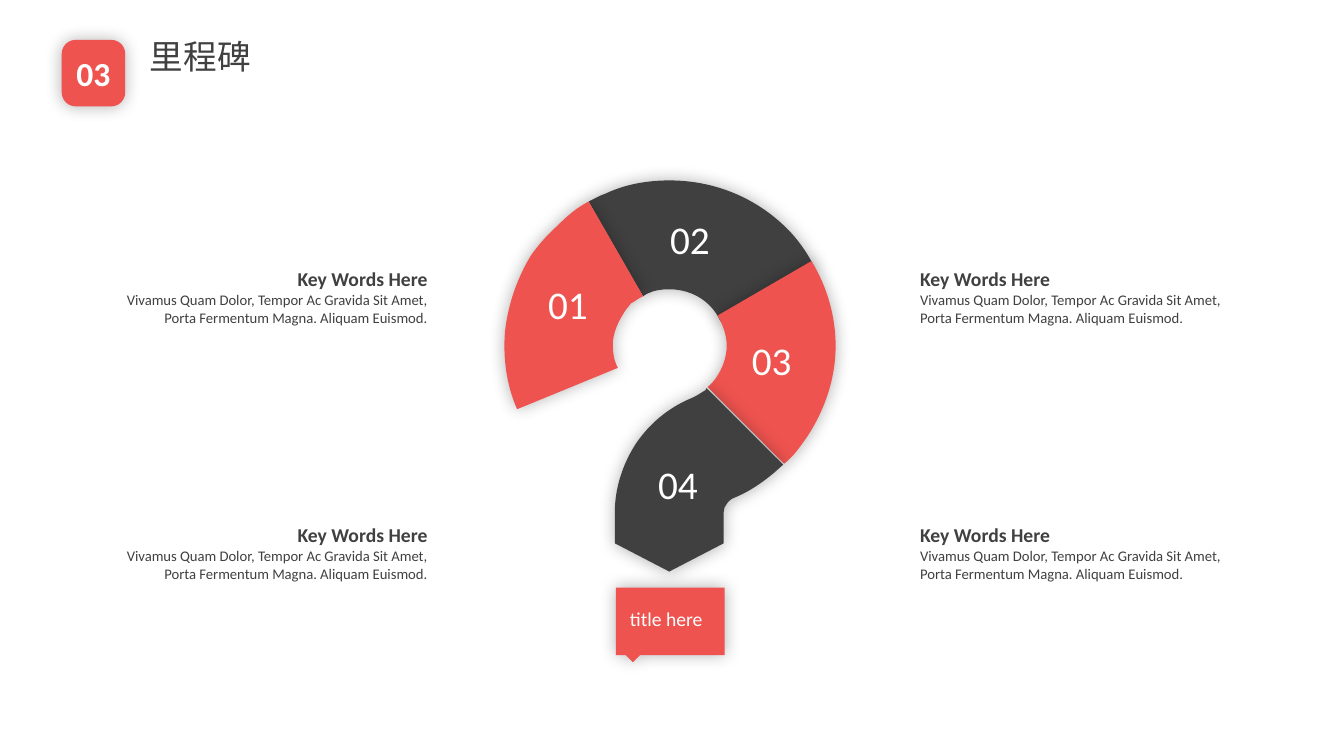
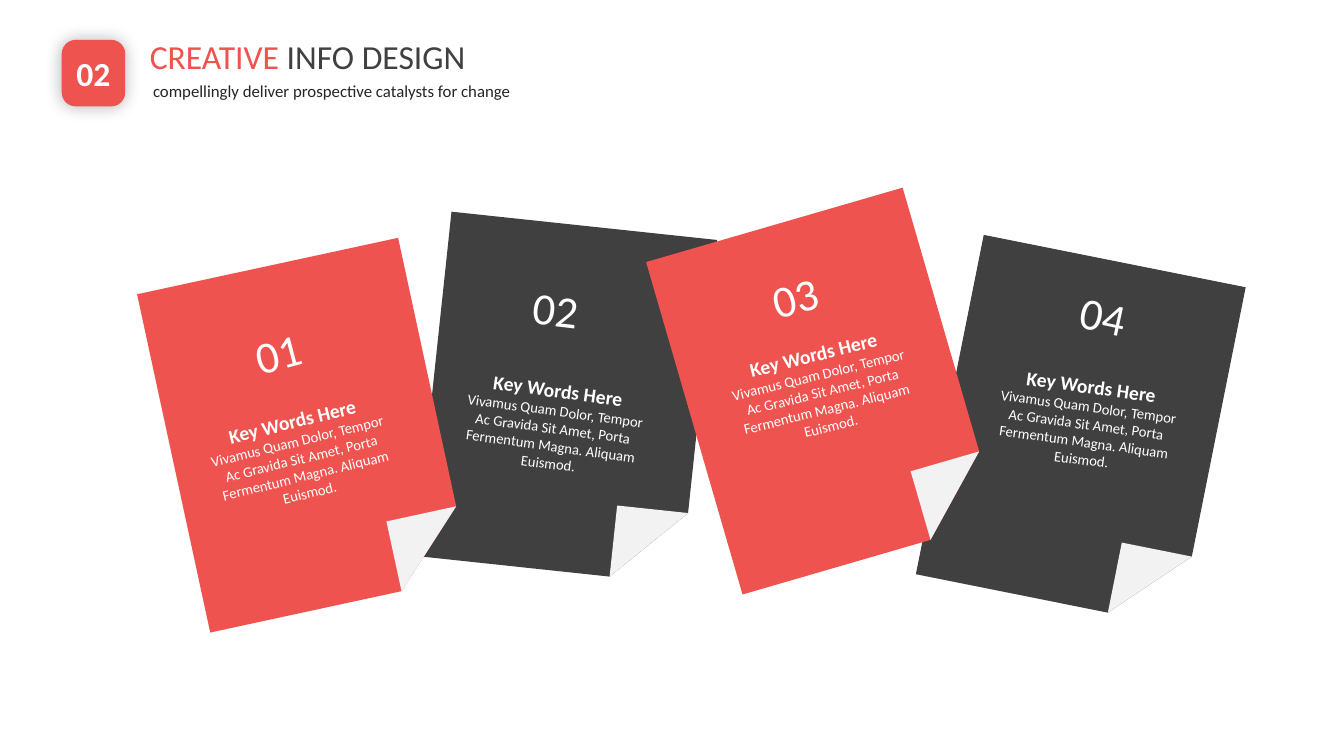
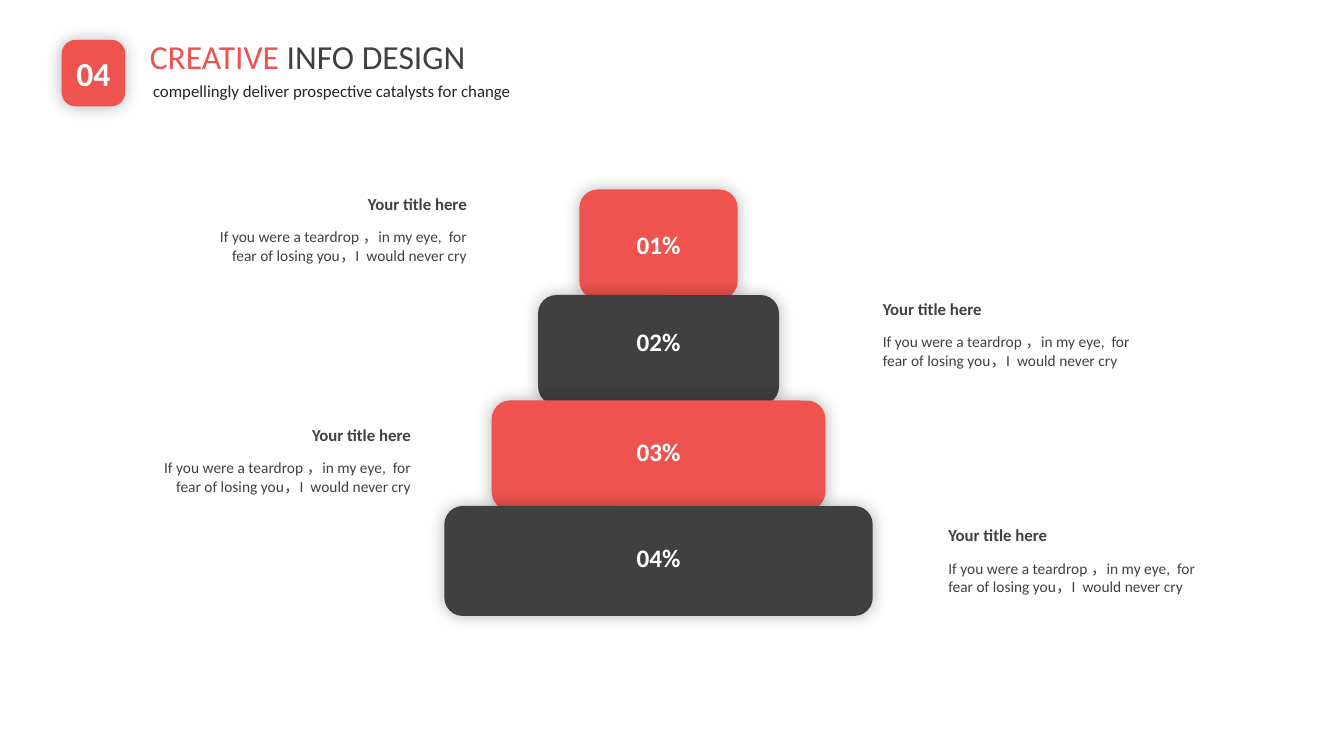
from dataclasses import dataclass
from math import atan2, cos, sin

from lxml import etree
from pptx import Presentation
from pptx import util as u
from pptx.dml.color import RGBColor
from pptx.enum import shapes, text
from pptx.oxml.ns import qn


@dataclass(frozen=True)
class Theme:
    font: str = "Calibri"
    red: str = "EE534F"
    dark: str = "404040"
    ink: str = "262425"
    white: str = "FFFFFF"
    fold: str = "F2F2F2"
    small: float = 10.5
    body: float = 11
    sub: float = 12
    key: float = 14
    percent: float = 18
    title: float = 24
    number: float = 28
    big: float = 32


T = Theme()
LEFT, CENTER, RIGHT = text.PP_ALIGN.LEFT, text.PP_ALIGN.CENTER, text.PP_ALIGN.RIGHT

# Grid of 160 columns by 90 rows; lengths are in cells, curved outlines in blocks of 12 cells
prs = Presentation()
prs.slide_width, prs.slide_height = u.Inches(40 / 3), u.Inches(7.5)
CELL = prs.slide_width // 160
BLOCK = 12 * CELL


def paint(sp, fill, shadow=True):
    """Fill a shape, drop its line and give it the soft glow-like shadow."""
    sp.fill.solid()
    sp.fill.fore_color.rgb = RGBColor.from_string(fill)
    sp.line.fill.background()
    sp.shadow.inherit = False
    if shadow:
        effects = sp._element.spPr.find(qn("a:effectLst"))
        outer = etree.SubElement(effects, qn("a:outerShdw"), blurRad=str(u.Pt(12)),
                                 dist="0", dir="0", algn="ctr", rotWithShape="0")
        color = etree.SubElement(outer, qn("a:srgbClr"), val="000000")
        etree.SubElement(color, qn("a:alpha"), val="30000")


def write(parent, box, *paras, size=T.title, color=T.dark, bold=False, align=LEFT,
          fill=None, middle=False, grow=True, wrap=True, rot=0):
    """Add a text box, or a filled rounded box; a paragraph is a string or (text, format) runs."""
    place = [round(v * CELL) for v in box]
    if fill:
        sp = parent.add_shape(shapes.MSO_SHAPE.ROUNDED_RECTANGLE, *place)
        paint(sp, fill)
    else:
        sp = parent.add_textbox(*place)
    sp.rotation = rot
    tf = sp.text_frame
    tf.word_wrap = wrap
    if grow and not fill:
        tf.auto_size = text.MSO_AUTO_SIZE.SHAPE_TO_FIT_TEXT
    if middle:
        tf.vertical_anchor = text.MSO_ANCHOR.MIDDLE
    for i, runs in enumerate(paras):
        p = tf.add_paragraph() if i else tf.paragraphs[0]
        p.alignment = align
        for words, fmt in [(runs, {})] if isinstance(runs, str) else runs:
            r = p.add_run()
            r.text = words
            r.font.name = T.font
            r.font.size = u.Pt(fmt.get("size", size))
            r.font.bold = fmt.get("bold", bold)
            r.font.color.rgb = RGBColor.from_string(fmt.get("color", color))
            if "spacing" in fmt:
                p.line_spacing = fmt["spacing"]
    return sp


# Wording used more than once
KEY_WORDS = ([("Key Words Here", dict(size=T.key, bold=True, spacing=2.0))],
             "Vivamus Quam Dolor, Tempor Ac Gravida Sit Amet, "
             "Porta Fermentum Magna. Aliquam Euismod.")
TEARDROP = "If you were a teardrop ，in my eye,  for fear of losing you，I  would never cry"
CREATIVE = [("CREATIVE", dict(color=T.red)), (" INFO DESIGN", {})]
SUBTITLE = "compellingly deliver prospective catalysts for change"

# Slides with their numbered badge, title and subtitle
slides = []
for number, title, subtitle in [("03", "里程碑", None), ("02", CREATIVE, SUBTITLE),
                                ("04", CREATIVE, SUBTITLE)]:
    s = prs.slides.add_slide(prs.slide_layouts[6])
    badge = write(s.shapes, (7.35, 4.75, 7.56, 7.92), number, color=T.white, bold=True,
                  align=CENTER, fill=T.red, middle=True)
    badge.adjustments[0] = 0.22
    write(s.shapes, (16.66, 2.52, 43.2, 8.4), title, middle=True, grow=False)
    if subtitle:
        write(s.shapes, (17.04, 9, 48, 3.6), subtitle, size=T.sub, color=T.ink,
              align=text.PP_ALIGN.JUSTIFY)
    slides.append(s)
question, cards, pyramid = slides

# Question mark outlines: a step of two numbers is a line, of six a cubic curve
top = [(5.84, 2), (5.9, 1.97, 5.95, 1.94, 6.01, 1.92), (6.2, 1.83, 6.42, 1.79, 6.64, 1.79),
       (7.1, 1.79, 7.51, 1.97, 7.81, 2.27), (7.92, 2.38, 8.01, 2.51, 8.08, 2.65),
       (7.15, 3.19), (7.12, 3.13, 7.09, 3.08, 7.04, 3.03),
       (6.94, 2.93, 6.8, 2.87, 6.64, 2.87), (6.56, 2.87, 6.49, 2.88, 6.43, 2.91),
       (6.41, 2.92, 6.39, 2.93, 6.38, 2.94)]
right = [(8.05, 2.59), (8.2, 2.83, 8.29, 3.13, 8.29, 3.43),
         (8.29, 3.76, 8.18, 4.07, 8.01, 4.33), (7.94, 4.43, 7.87, 4.53, 7.78, 4.6),
         (7.02, 3.84), (7.05, 3.82, 7.09, 3.77, 7.11, 3.74),
         (7.17, 3.65, 7.21, 3.54, 7.21, 3.43), (7.21, 3.32, 7.17, 3.22, 7.12, 3.13)]
left = [(5.13, 4.06), (5.02, 3.81, 4.99, 3.54, 5.01, 3.29),
        (5.04, 3.02, 5.13, 2.76, 5.27, 2.53), (5.35, 2.42, 5.43, 2.33, 5.53, 2.24),
        (5.62, 2.15, 5.72, 2.06, 5.84, 2), (6.38, 2.94),
        (6.33, 2.96, 6.3, 2.99, 6.26, 3.01), (6.23, 3.05, 6.2, 3.08, 6.18, 3.12),
        (6.13, 3.2, 6.09, 3.29, 6.08, 3.39), (6.08, 3.47, 6.08, 3.56, 6.13, 3.65)]
stem = [(7.01, 3.85), (7.77, 4.61), (7.68, 4.69), (7.56, 4.79, 7.43, 4.88, 7.28, 4.94),
        (7.25, 4.95, 7.22, 4.98, 7.21, 5), (7.19, 5.02, 7.18, 5.05, 7.18, 5.08),
        (7.18, 5.39), (6.64, 5.67), (6.1, 5.39), (6.1, 5.08),
        (6.1, 4.84, 6.18, 4.6, 6.31, 4.4), (6.44, 4.21, 6.62, 4.05, 6.86, 3.95),
        (6.91, 3.93, 6.95, 3.9, 7, 3.87)]
dot = [(6.11, 5.83), (7.19, 5.83), (7.19, 6.5), (6.35, 6.5), (6.28, 6.57), (6.21, 6.5),
       (6.11, 6.5)]

for steps, color in [(top, T.dark), (right, T.red), (left, T.red), (stem, T.dark), (dot, T.red)]:
    points = [(step[i] * 100, step[i + 1] * 100) for step in steps
              for i in range(0, len(step), 2)]
    fb = question.shapes.build_freeform(*points[0], scale=BLOCK / 100)
    fb.add_line_segments(points[1:])
    sp = fb.convert_to_shape()
    paint(sp, color)
    # Join the three lines that stand for a curve into one cubic segment
    lines = iter(list(sp._element.iter(qn("a:lnTo"))))
    for step in steps[1:]:
        line = next(lines)
        if len(step) == 6:
            line.addprevious(curve := etree.Element(qn("a:cubicBezTo")))
            for part in (line, next(lines), next(lines)):
                curve.append(part[0])
                part.getparent().remove(part)

for i, (x, y) in enumerate([(63.36, 32.76), (77.88, 25.08), (87.6, 39.48), (76.44, 54.24)], 1):
    write(question.shapes, (x, y, 8.52, 6.84), f"{i:02}", size=T.number, color=T.white,
          align=CENTER)
write(question.shapes, (73.8, 71.64, 11.4, 4.08), "title here", size=T.key, color=T.white,
      wrap=False)

# Key words on both sides of the question mark
for x, align in [(108.36, LEFT), (12.24, RIGHT)]:
    for y in (28.44, 58.92):
        write(question.shapes, (x, y, 39.84, 11.16), *KEY_WORDS, size=T.small, align=align)

# Tilted cards: top left and top right corner, words and number with their tilt
card_w, card_h, fold = 31.8, 41.2, 8.5
sheet = [(0, 0), (card_w, 0), (card_w, card_h - fold), (card_w - fold, card_h), (0, card_h)]
corner = [(card_w - fold, card_h), (card_w, card_h - fold), (card_w - fold, card_h - fold)]
for number, color, (x, y), (x2, y2), words, words_rot, num, num_rot in [
        ("04", T.dark, (117.12, 27.96), (148.32, 34.2), (117.24, 41.16), 7.8,
         (127.44, 33.84), 12.1),
        ("02", T.dark, (53.76, 25.2), (85.32, 28.56), (53.76, 41.64), 7.8, (62.28, 33), 6.8),
        ("01", T.red, (16.32, 35.04), (47.4, 28.32), (23.16, 45.24), 346.2,
         (29.16, 37.92), 345),
        ("03", T.red, (76.92, 31.2), (107.52, 22.32), (85.2, 37.32), 346.2,
         (90.72, 31.32), 345)]:
    card = cards.shapes.add_group_shape().shapes
    tilt = atan2(y2 - y, x2 - x)
    for outline, fill in [(sheet, color), (corner, T.fold)]:
        points = [((x + a * cos(tilt) - b * sin(tilt)) * 100,
                   (y + a * sin(tilt) + b * cos(tilt)) * 100) for a, b in outline]
        fb = card.build_freeform(*points[0], scale=CELL / 100)
        fb.add_line_segments(points[1:])
        paint(fb.convert_to_shape(), fill, shadow=False)
    write(card, (*words, 24.6, 15.36), *KEY_WORDS, size=T.small, color=T.white,
          align=CENTER, rot=words_rot)
    write(card, (*num, 9.12, 7.68), number, size=T.big, color=T.white, wrap=False, rot=num_rot)

# Pyramid: block width, label top, then the note's inner edge and top
axis, step_h, block_h, label_w = 78.4, 12.56, 13.08, 11.8
for i, (width, label_y, edge, note_y) in enumerate([
        (18.84, 26.76, 56.76, 22.44), (28.68, 38.28, 103.92, 34.92),
        (39.72, 51.36, 50.1, 49.92), (51, 63.96, 111.72, 61.92)]):
    write(pyramid.shapes, (axis - width / 2, 22.56 + i * step_h, width, block_h),
          fill=T.dark if i % 2 else T.red)
    write(pyramid.shapes, (axis - label_w / 2, label_y, label_w, 4.8), f"{i + 1:02}%",
          size=T.percent, color=T.white, bold=True, align=CENTER)
    note = pyramid.shapes.add_group_shape().shapes
    for words, w, h, drop, size, bold in [(TEARDROP, 32.9, 5.64, 4.05, T.body, False),
                                          ("Your title here", 17.76, 3.6, 0, T.sub, True)]:
        write(note, (edge if i % 2 else edge - w, note_y + drop, w, h), words,
              size=size, bold=bold, align=LEFT if i % 2 else RIGHT)

prs.save("out.pptx")
